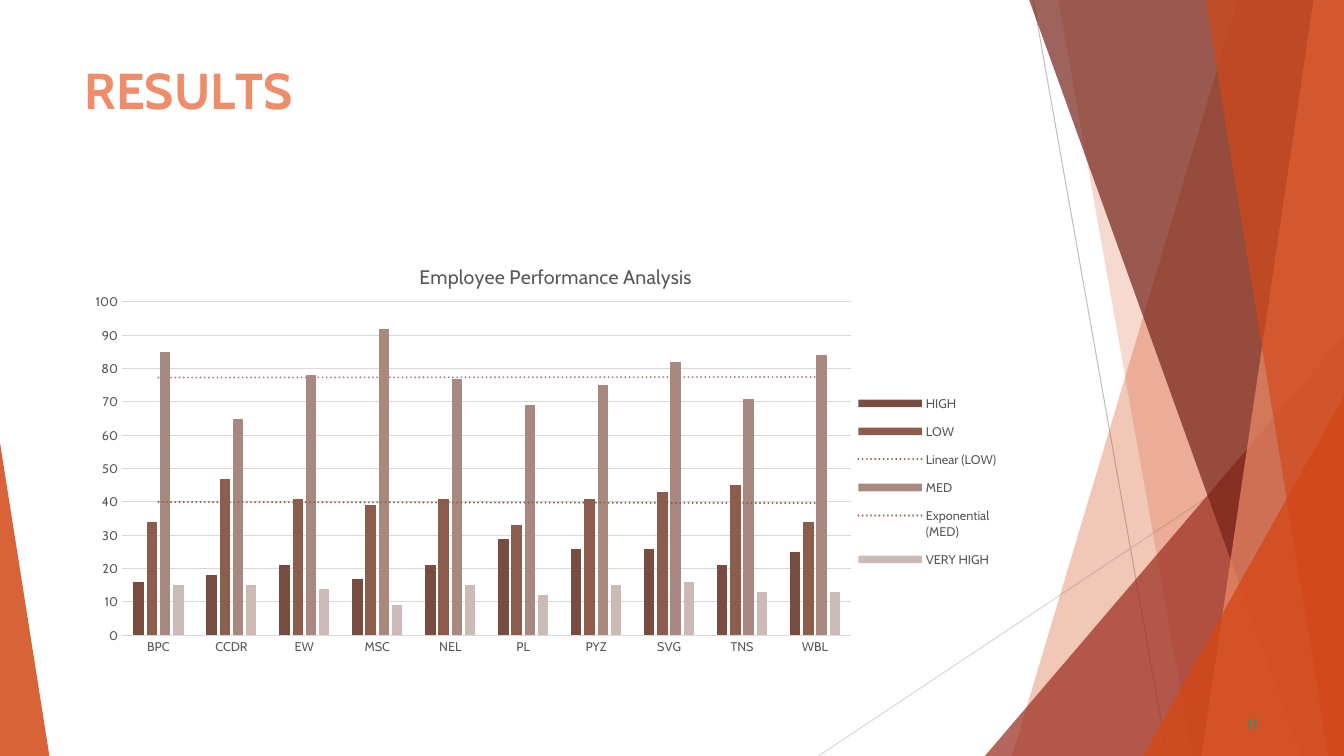
from lxml import etree
from pptx import Presentation
from pptx.chart.data import CategoryChartData
from pptx.dml.color import RGBColor
from pptx.enum.chart import XL_CHART_TYPE, XL_LEGEND_POSITION, XL_TICK_MARK
from pptx.enum.shapes import MSO_CONNECTOR, MSO_SHAPE
from pptx.enum.text import MSO_AUTO_SIZE
from pptx.oxml import parse_xml
from pptx.oxml.ns import nsdecls, qn
from pptx.util import Inches, Pt

COLUMN = XL_CHART_TYPE.COLUMN_CLUSTERED
RIGHT = XL_LEGEND_POSITION.RIGHT
NO_TICK = XL_TICK_MARK.NONE
STRAIGHT = MSO_CONNECTOR.STRAIGHT
TRIANGLE = MSO_SHAPE.ISOSCELES_TRIANGLE
GROW = MSO_AUTO_SIZE.SHAPE_TO_FIT_TEXT

WIDE, HIGH = Inches(13.333), Inches(7.5)
FONT = "Cabin"
INK = {
    "orange": "D34817", "peach": "EF8C6A", "red": "9B2D1F", "wine": "742217",
    "green": "2D936B", "gray": "595959", "rule": "D9D9D9", "edge": "BFBFBF",
    "HIGH": "764D40", "LOW": "8C5C4C", "MED": "A9887F", "VERY HIGH": "CBBAB6",
}
GROUPS = ["BPC", "CCDR", "EW", "MSC", "NEL", "PL", "PYZ", "SVG", "TNS", "WBL"]
SCORES = {
    "HIGH": [16, 18, 21, 17, 21, 29, 26, 26, 21, 25],
    "LOW": [34, 47, 41, 39, 41, 33, 41, 43, 45, 34],
    "MED": [85, 65, 78, 92, 77, 69, 75, 82, 71, 84],
    "VERY HIGH": [15, 15, 14, 9, 15, 12, 15, 16, 13, 13],
}
TRENDS = {"LOW": "linear", "MED": "exp"}


def spot(*shares):
    """Turn x, y pairs in percent of the slide into lengths."""
    return [int((HIGH if i % 2 else WIDE) * s / 100) for i, s in enumerate(shares)]


def color(name):
    return RGBColor.from_string(INK[name])


def style(font, size, ink, bold=False):
    font.name, font.size, font.bold = FONT, Pt(size), bold
    font.color.rgb = color(ink)


# Background facets
def paint(shape, ink, alpha):
    shape.shadow.inherit = False
    shape.fill.solid()
    shape.fill.fore_color.rgb = color(ink)
    shape.line.fill.background()
    tone = shape.fill._xPr.find(".//" + qn("a:srgbClr"))
    etree.SubElement(tone, qn("a:alpha")).set("val", str(alpha * 1000))


def add_line(slide, ends, ink):
    line = slide.shapes.add_connector(STRAIGHT, *spot(*ends))
    line.line.color.rgb = color(ink)
    line.line.width = Pt(0.75)
    etree.SubElement(line._element.spPr, qn("a:effectLst"))


def add_band(slide, top, foot, ink, alpha):
    """Fill from a slanted left edge to the right side of the slide."""
    path = slide.shapes.build_freeform(*spot(top, 0))
    path.add_line_segments([spot(100, 0), spot(100, 100), spot(foot, 100)])
    paint(path.convert_to_shape(), ink, alpha)


def add_wedge(slide, box, peak, ink, alpha):
    wedge = slide.shapes.add_shape(TRIANGLE, *spot(*box))
    wedge.adjustments[0] = peak
    paint(wedge, ink, alpha)


# Text
def add_text(slide, box, runs, size, ink, bold=False, inset=0, before=0):
    """Write (text, tracking in points) runs on one line."""
    shape = slide.shapes.add_textbox(*spot(*box))
    frame = shape.text_frame
    frame.word_wrap, frame.auto_size = True, GROW
    frame.margin_left, frame.margin_top = Inches(inset), Inches(0.01)
    frame.margin_right = frame.margin_bottom = 0
    line = frame.paragraphs[0]
    line.space_before = Pt(before)
    for text, track in runs:
        run = line.add_run()
        run.text = text
        style(run.font, size, ink, bold)
        run.font._element.set("spc", str(round(track * 100)))


# Chart
def place(node, index, inner=False, **shares):
    """Pin a chart part at shares of the chart's size."""
    for old in node.findall(qn("c:layout")):
        node.remove(old)
    mode = '<c:layoutTarget val="inner"/>' if inner else ""
    mode += '<c:xMode val="edge"/><c:yMode val="edge"/>'
    mode += "".join(f'<c:{key} val="{val}"/>' for key, val in shares.items())
    node.insert(index, parse_xml(
        f'<c:layout {nsdecls("c")}><c:manualLayout>{mode}</c:manualLayout></c:layout>'))


def add_trend(bars, kind, ink):
    bars._element.find(qn("c:cat")).addprevious(parse_xml(
        f'<c:trendline {nsdecls("c", "a")}><c:spPr><a:ln w="{Pt(1.5)}" cap="rnd">'
        f'<a:solidFill><a:srgbClr val="{INK[ink]}"/></a:solidFill>'
        '<a:prstDash val="sysDot"/></a:ln></c:spPr>'
        f'<c:trendlineType val="{kind}"/><c:dispRSqr val="0"/><c:dispEq val="0"/>'
        '</c:trendline>'))


def set_axes(chart):
    base, scale = chart.category_axis, chart.value_axis
    for axis in (base, scale):
        axis.major_tick_mark = axis.minor_tick_mark = NO_TICK
        style(axis.tick_labels.font, 9, "gray")
    scale.minimum_scale, scale.maximum_scale, scale.major_unit = 0, 100, 10
    scale.format.line.fill.background()
    for rule in (base.format.line, scale.major_gridlines.format.line):
        rule.color.rgb = color("rule")
        rule.width = Pt(0.75)


def add_bars(slide, box):
    data = CategoryChartData()
    data.categories = GROUPS
    for name, marks in SCORES.items():
        data.add_series(name, marks)
    chart = slide.shapes.add_chart(COLUMN, *spot(*box), data).chart
    style(chart.font, 10, "gray")
    set_axes(chart)

    plot = chart.plots[0]
    plot.gap_width, plot.overlap, plot.vary_by_categories = 219, -27, False
    for bars in plot.series:
        bars.format.fill.solid()
        bars.format.fill.fore_color.rgb = color(bars.name)
        if bars.name in TRENDS:
            add_trend(bars, TRENDS[bars.name], bars.name)

    # Title and legend
    title = chart.chart_title
    title.text_frame.text = "Employee Performance Analysis"
    style(title.text_frame.paragraphs[0].runs[0].font, 14, "gray")
    chart.has_legend = True
    legend = chart.legend
    legend.position, legend.include_in_layout = RIGHT, False
    style(legend.font, 9, "gray")

    place(chart._chartSpace.find(".//" + qn("c:plotArea")), 0, inner=True,
          x=0.05, y=0.15, w=0.77, h=0.78)
    place(title._element, 1, x=0.36, y=0.05)
    place(legend._element, 1, x=0.82, y=0.34, w=0.16, h=0.46)


def main():
    deck = Presentation()
    deck.slide_width, deck.slide_height = WIDE, HIGH
    slide = deck.slides.add_slide(deck.slide_layouts[6])

    # Facets, from back to front
    add_line(slide, (76.88, 0, 86.85, 100), "edge")
    add_line(slide, (100, 53.73, 60.9, 100), "rule")
    add_band(slide, 92.1, 75.3, "orange", 30)
    add_band(slide, 78.75, 88.73, "orange", 20)
    add_wedge(slide, (73.28, 44.4, 26.72, 55.6), 1, "red", 72)
    add_band(slide, 76.58, 96.83, "wine", 70)
    add_band(slide, 97.73, 89.4, "peach", 70)
    add_band(slide, 89.7, 98.85, "orange", 65)
    add_wedge(slide, (85.05, 52.4, 14.95, 47.6), 1, "orange", 80)
    add_wedge(slide, (0, 58.53, 3.68, 41.47), 0, "orange", 85)

    # Content
    heading = [("R", 0), ("E", -0.4), ("S", 0.1), ("U", -0.3), ("L", -4), ("TS", 0)]
    add_text(slide, (6.23, 7.73, 70.5, 8.27), heading, 36, "peach",
             bold=True, inset=0.01, before=1.1)
    add_text(slide, (92.48, 94.4, 1.88, 2.8), [("11", 0.1)], 11, "green",
             inset=0.04, before=0.6)
    add_bars(slide, (5.55, 31.47, 70.5, 56.53))
    deck.save("out.pptx")


if __name__ == "__main__":
    main()
